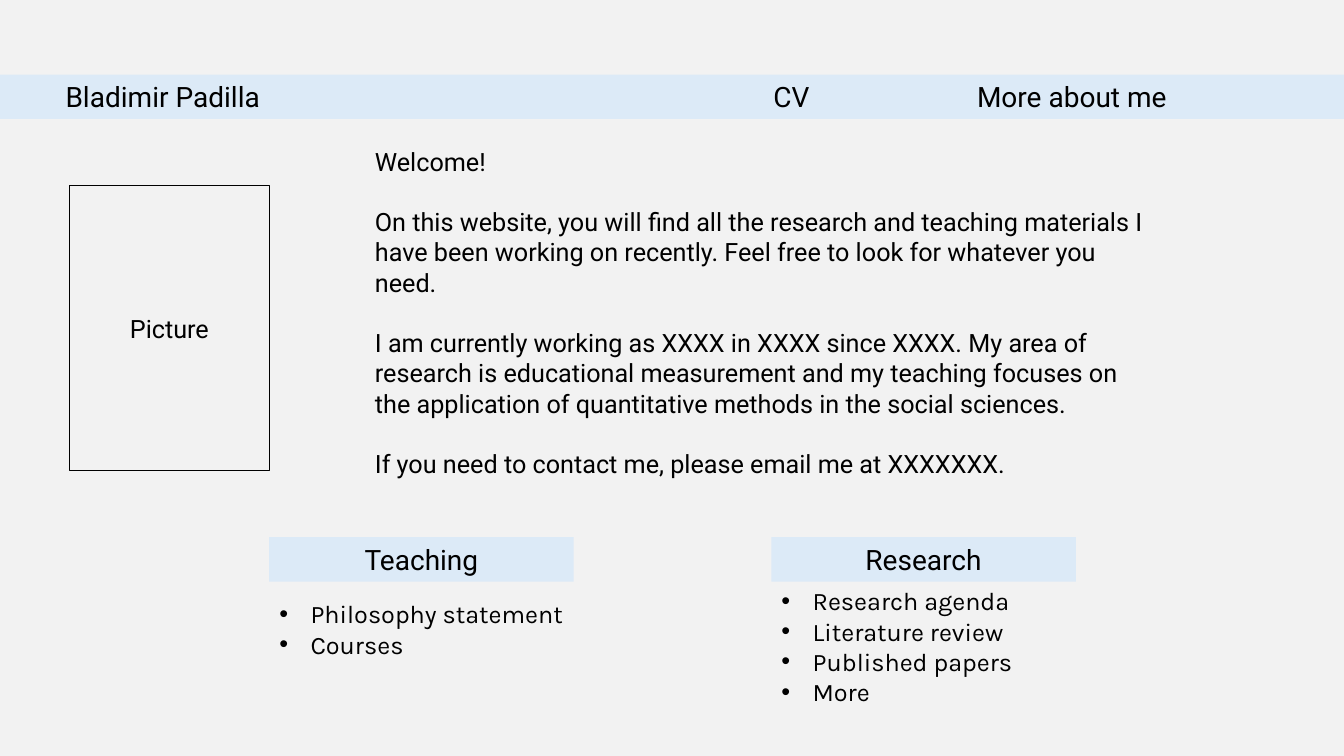
from lxml import etree
from pptx import Presentation
from pptx.dml.color import RGBColor
from pptx.enum.shapes import MSO_SHAPE
from pptx.enum.text import MSO_ANCHOR, MSO_AUTO_SIZE, PP_ALIGN
from pptx.oxml.ns import qn
from pptx.util import Inches, Pt

RECT = MSO_SHAPE.RECTANGLE
TOP, MIDDLE = MSO_ANCHOR.TOP, MSO_ANCHOR.MIDDLE
LEFT, CENTER = PP_ALIGN.LEFT, PP_ALIGN.CENTER
FIXED = MSO_AUTO_SIZE.NONE
TWO_LISTS = 3  # layout with a title and two bodies

BACK, PALE, BLACK = "F2F2F2", "DCEAF7", "000000"
SANS, LIST_FONT = "Roboto", "Karla"
WIDE, HIGH = 13.33, 7.5
BAR = 0.44  # height of every pale bar

WELCOME = [
    "Welcome!",
    "On this website, you will find all the research and teaching materials I "
    "have been working on recently. Feel free to look for whatever you need.",
    "I am currently working as XXXX in XXXX since XXXX. My area of research is "
    "educational measurement and my teaching focuses on the application of "
    "quantitative methods in the social sciences.",
    "If you need to contact me, please email me at XXXXXXX.",
]


def paint(fill, color):
    fill.solid()
    fill.fore_color.rgb = RGBColor.from_string(color)


def place(shape, box):
    shape.left, shape.top, shape.width, shape.height = map(Inches, box)


def write(shape, lines, size, font=SANS, align=LEFT, anchor=TOP, gap=0):
    """Fill a shape with paragraphs, gap points apart."""
    frame = shape.text_frame
    frame.text = "\n".join(lines)
    frame.word_wrap = True
    frame.auto_size = FIXED
    frame.vertical_anchor = anchor
    for row, para in enumerate(frame.paragraphs):
        para.alignment = align
        para.space_before = Pt(gap if row else 0)
        for run in para.runs:
            run.font.size = Pt(size)
            run.font.name = font
            paint(run.font.fill, BLACK)


def add_rect(slide, box):
    shape = slide.shapes.add_shape(RECT, *map(Inches, box))
    shape.shadow.inherit = False
    return shape


def add_menu(slide, box, stops):
    """Title bar: the name, then menu items at tab stops."""
    inset = 0.65
    bar = slide.shapes.title
    place(bar, box)
    paint(bar.fill, PALE)
    write(bar, ["Bladimir Padilla\tCV\tMore about me"], 20)
    bar.text_frame.margin_left = Inches(inset)
    props = bar.text_frame.paragraphs[0]._p.get_or_add_pPr()
    tabs = etree.SubElement(props, qn("a:tabLst"))
    for stop in stops:
        etree.SubElement(tabs, qn("a:tab"), algn="l",
                         pos=str(Inches(stop - box[0] - inset)))


def add_frame(slide, box):
    """Outlined space for the portrait."""
    frame = add_rect(slide, box)
    frame.fill.background()
    paint(frame.line.fill, BLACK)
    frame.line.width = Pt(0.75)
    write(frame, ["Picture"], 18, align=CENTER, anchor=MIDDLE)


def add_intro(slide, box):
    intro = slide.shapes.add_textbox(*map(Inches, box))
    write(intro, WELCOME, 18, gap=21.6)


def add_topic(slide, box, slot, head, items, drop):
    """Pale heading with a bulleted list, drop inches below the top."""
    left, top, width, height = box
    bar = add_rect(slide, (left, top, width, BAR))
    paint(bar.fill, PALE)
    bar.line.fill.background()
    write(bar, [head], 20, align=CENTER)

    body = slide.placeholders[slot]
    place(body, (left, top + drop, width, height - drop))
    write(body, items, 18, LIST_FONT)
    body.text_frame.margin_right = 0
    for para in body.text_frame.paragraphs:
        props = para._p.get_or_add_pPr()
        props.set("marL", str(Inches(0.31)))
        props.set("indent", str(Inches(-0.31)))
        etree.SubElement(props, qn("a:buFont"), typeface="Arial")
        etree.SubElement(props, qn("a:buChar"), char="•")


def main():
    deck = Presentation()
    deck.slide_width, deck.slide_height = Inches(WIDE), Inches(HIGH)
    slide = deck.slides.add_slide(deck.slide_layouts[TWO_LISTS])
    paint(slide.background.fill, BACK)

    add_menu(slide, (0, 0.74, WIDE, BAR), (7.67, 9.69))
    add_frame(slide, (0.69, 1.84, 1.98, 2.83))
    add_intro(slide, (3.62, 1.4, 7.92, 3.43))
    add_topic(slide, (2.67, 5.33, 3.02, 1.27), 1, "Teaching",
              ["Philosophy statement", "Courses"], 0.56)
    add_topic(slide, (7.65, 5.33, 3.02, 1.74), 2, "Research",
              ["Research agenda", "Literature review", "Published papers",
               "More"], 0.43)
    deck.save("out.pptx")


if __name__ == "__main__":
    main()
